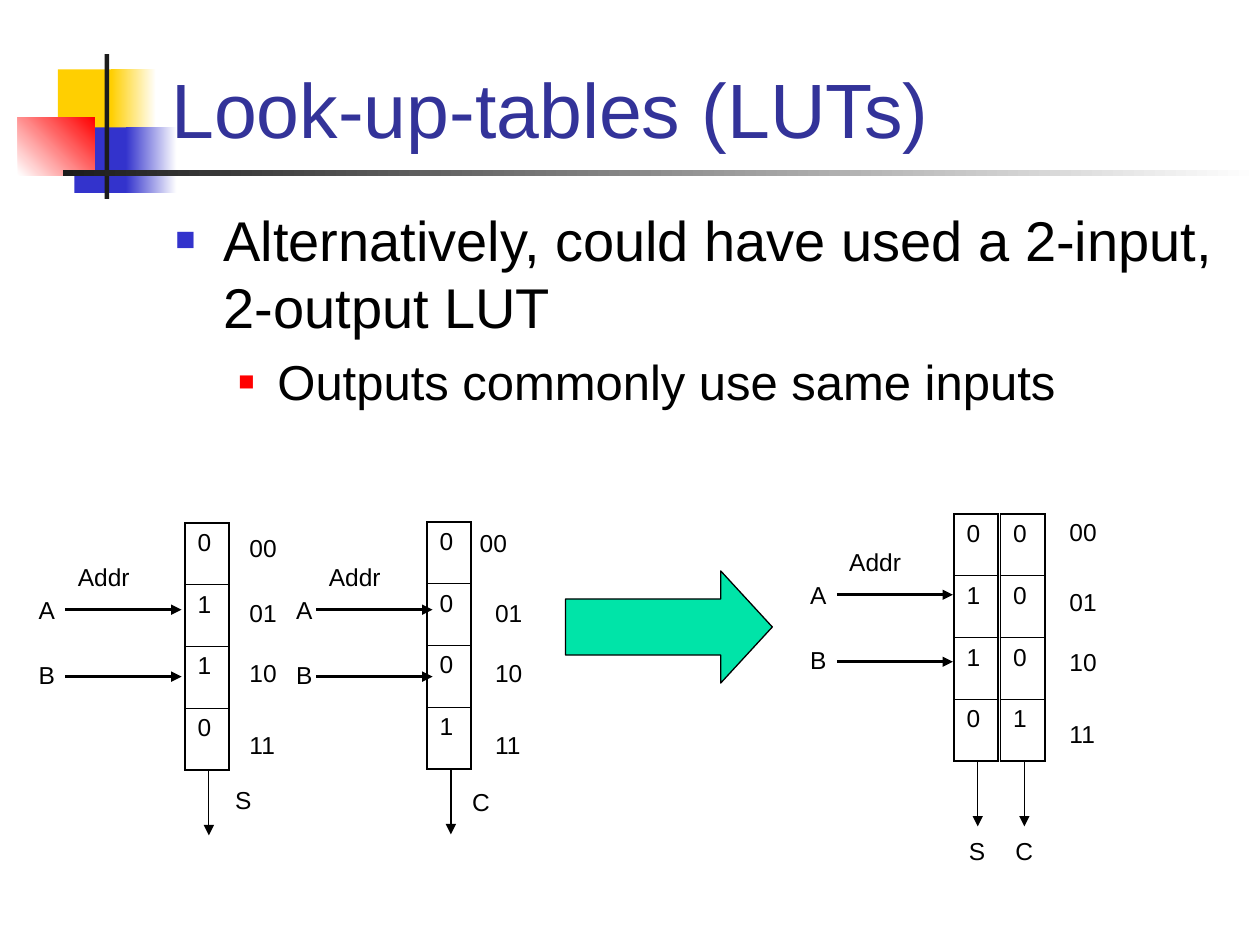
from dataclasses import dataclass

from lxml import etree
from pptx import Presentation
from pptx import util as u
from pptx.dml.color import RGBColor
from pptx.enum import shapes, text
from pptx.oxml import ns


@dataclass(frozen=True)
class Theme:
    font: str = "Arial"
    ink: str = "000000"
    white: str = "FFFFFF"
    title: str = "333399"
    yellow: str = "FFCF01"
    blue: str = "3333CC"
    red: str = "FF0000"
    dark: str = "1C1C1C"
    green: str = "00E4A8"
    title_size: int = 44
    body_size: int = 32
    sub_size: int = 28
    label_size: int = 14
    thin: float = 0.75
    thick: float = 1.5
    cell_outer: float = 1.08
    cell_inner: float = 0.45


THEME = Theme()
ROW_COUNT, COLUMN_WIDTH, TABLE_HEIGHT = 4, 0.89, 4.98


def color(value):
    return RGBColor.from_string(value)


def lengths(*values):
    return [u.Cm(value) for value in values]


def set_values(target, values):
    for name, value in values.items():
        setattr(target, name, value)


def add_node(parent, tag, **attributes):
    return etree.SubElement(parent, ns.qn(tag), attributes)


def write(para, words, size, ink=THEME.ink):
    span = para.add_run()
    span.text = words
    set_values(span.font, {"name": THEME.font, "size": u.Pt(size)})
    span.font.color.rgb = color(ink)


def label(page, words, left, top, width):
    box = page.shapes.add_textbox(*lengths(left, top, width, 0.86))
    set_values(box.text_frame, {"word_wrap": True,
                                "auto_size": text.MSO_AUTO_SIZE.SHAPE_TO_FIT_TEXT})
    write(box.text_frame.paragraphs[0], words, THEME.label_size)


def arrow_line(page, left, top, right, bottom, weight):
    line = page.shapes.add_connector(
        shapes.MSO_CONNECTOR.STRAIGHT, *lengths(left, top, right, bottom))
    line.line.color.rgb = color(THEME.ink)
    line.line.width = u.Pt(weight)
    add_node(line.line._get_or_add_ln(), "a:tailEnd", type="triangle")
    add_node(line.element.spPr, "a:effectLst")


def decoration(page, left, top):
    """Coloured squares, upright bar and fading rule beside the title."""
    blocks = [
        (0.81, 0.31, 1.22, 1.32, (THEME.yellow,), 0),
        (1.88, 0.31, 0.91, 1.32, (THEME.yellow, THEME.white), 0),
        (1.14, 1.48, 1.17, 1.32, (THEME.blue,), 0),
        (2.18, 1.48, 1.02, 1.32, (THEME.blue, THEME.white), 0),
        (0, 1.27, 1.55, 1.17, (THEME.white, THEME.red), 45),
        (1.75, 0, 0.09, 2.92, (THEME.dark,), 0),
        (0.91, 2.34, 24.13, 0.13, (THEME.dark, THEME.white), 0),
    ]
    for x, y, width, height, colors, angle in blocks:
        block = page.shapes.add_shape(
            shapes.MSO_SHAPE.RECTANGLE, *lengths(left + x, top + y, width, height))
        block.shadow.inherit = False
        block.line.fill.background()
        if len(colors) == 1:
            block.fill.solid()
            block.fill.fore_color.rgb = color(colors[0])
        else:
            block.fill.gradient()
            block.fill.gradient_angle = angle
            for stop, value in zip(block.fill.gradient_stops, colors):
                stop.color.rgb = color(value)


def place(page, holder, left, top, width, height):
    """Position a placeholder and bring it in front of the decoration."""
    for name, value in zip(("left", "top", "width", "height"),
                           lengths(left, top, width, height)):
        setattr(holder, name, value)
    page.shapes.element.append(holder.element)
    set_values(holder.text_frame, {"word_wrap": True,
                                   "auto_size": text.MSO_AUTO_SIZE.NONE})
    return holder.text_frame


def heading(page, left, top, width, height):
    frame = place(page, page.shapes.title, left, top, width, height)
    frame.vertical_anchor = text.MSO_ANCHOR.BOTTOM
    para = frame.paragraphs[0]
    para.alignment = text.PP_ALIGN.LEFT
    write(para, "Look-up-tables (LUTs)", THEME.title_size, THEME.title)


def bullet_list(page, left, top, width, height):
    frame = place(page, page.placeholders[1], left, top, width, height)
    frame.vertical_anchor = text.MSO_ANCHOR.TOP
    items = [
        ("Alternatively, could have used a 2-input, 2-output LUT",
         THEME.body_size, THEME.blue, "60000", 0.97, -0.97, 0),
        ("Outputs commonly use same inputs",
         THEME.sub_size, THEME.red, "55000", 2.06, -0.79, 7),
    ]
    for level, (words, size, mark, scale, margin, indent, before) in enumerate(items):
        para = frame.add_paragraph() if level else frame.paragraphs[0]
        set_values(para, {"level": level, "space_before": u.Pt(before)})
        properties = para._p.get_or_add_pPr()
        properties.set("marL", str(u.Cm(margin)))
        properties.set("indent", str(u.Cm(indent)))
        add_node(add_node(properties, "a:buClr"), "a:srgbClr", val=mark)
        add_node(properties, "a:buSzPct", val=scale)
        add_node(properties, "a:buFont", typeface=THEME.font)
        add_node(properties, "a:buChar", char="■")
        write(para, words, size)


def cell_borders(cell, first, last):
    outer, inner = THEME.cell_outer, THEME.cell_inner
    weights = {"a:lnL": outer, "a:lnR": outer,
               "a:lnT": outer if first else inner,
               "a:lnB": outer if last else inner}
    properties = cell._tc.get_or_add_tcPr()
    for position, (tag, weight) in enumerate(weights.items()):
        border = add_node(properties, tag, w=str(u.Pt(weight)))
        add_node(add_node(border, "a:solidFill"), "a:srgbClr", val=THEME.ink)
        properties.insert(position, border)


def memory_column(page, left, top, bits, output, label_x, label_y, label_width):
    """Stored bits with the output arrow and its name below."""
    table = page.shapes.add_table(
        ROW_COUNT, 1, *lengths(left, top, COLUMN_WIDTH, TABLE_HEIGHT)).table
    set_values(table, {"first_row": False, "horz_banding": False})
    for row, bit in enumerate(bits):
        table.rows[row].height = u.Cm(TABLE_HEIGHT / ROW_COUNT)
        cell = table.cell(row, 0)
        cell.fill.background()
        cell_borders(cell, row == 0, row == ROW_COUNT - 1)
        write(cell.text_frame.paragraphs[0], bit, THEME.label_size)
    middle, bottom = left + 0.48, top + TABLE_HEIGHT
    arrow_line(page, middle, bottom, middle, bottom + 1.32, THEME.thin)
    label(page, output, left + label_x, top + label_y, label_width)


def input_side(page, left, top, name_gap):
    """Address caption over the two named input arrows."""
    label(page, "Addr", left, top, 2.01)
    for row, name in enumerate("AB"):
        label(page, name, left - name_gap, top + 0.67 + 1.31 * row, 2.01)
        y = top + 1.09 + 1.35 * row
        arrow_line(page, left, y, left + 2.34, y, THEME.thick)


def address_side(page, left, top, first_x, first_y):
    """Row addresses; the first one is shifted from the place of the second."""
    label(page, "00", left + first_x, top + first_y, 2.64)
    for words, y in (("01", 0), ("10", 1.2), ("11", 2.65)):
        label(page, words, left, top + y, 1.22)


def big_arrow(page, left, top, width, height):
    arrow = page.shapes.add_shape(
        shapes.MSO_SHAPE.RIGHT_ARROW, *lengths(left, top, width, height))
    arrow.shadow.inherit = False
    arrow.adjustments[0], arrow.adjustments[1] = 0.5, 0.46
    arrow.fill.solid()
    arrow.fill.fore_color.rgb = color(THEME.green)
    arrow.line.color.rgb = color(THEME.ink)
    arrow.line.width = u.Pt(THEME.thin)


def main():
    deck = Presentation()
    deck.slide_width, deck.slide_height = lengths(25.4, 19.05)
    page = deck.slides.add_slide(deck.slide_layouts[1])
    decoration(page, 0.36, 1.09)
    heading(page, 3.2, 0.05, 21.64, 3.18)
    bullet_list(page, 3.28, 4.01, 21.59, 13)

    memory_column(page, 3.73, 10.54, "0110", "S", 0.76, 5.16, 5.33)
    memory_column(page, 8.61, 10.52, "0001", "C", 0.66, 5.23, 2.82)
    memory_column(page, 19.23, 10.36, "0110", "S", 0.05, 6.37, 0.81)
    memory_column(page, 20.17, 10.36, "0001", "C", 0.05, 6.37, 2.82)
    big_arrow(page, 11.4, 11.51, 4.17, 2.26)
    for box in ((4.78, 11.94, 0, -1.32), (9.73, 11.94, -0.31, -1.42),
                (21.31, 11.71, 0, -1.42)):
        address_side(page, *box)
    for box in ((1.32, 11.2, 0.79), (6.38, 11.2, 0.66), (16.87, 10.9, 0.79)):
        input_side(page, *box)
    deck.save("out.pptx")


if __name__ == "__main__":
    main()
